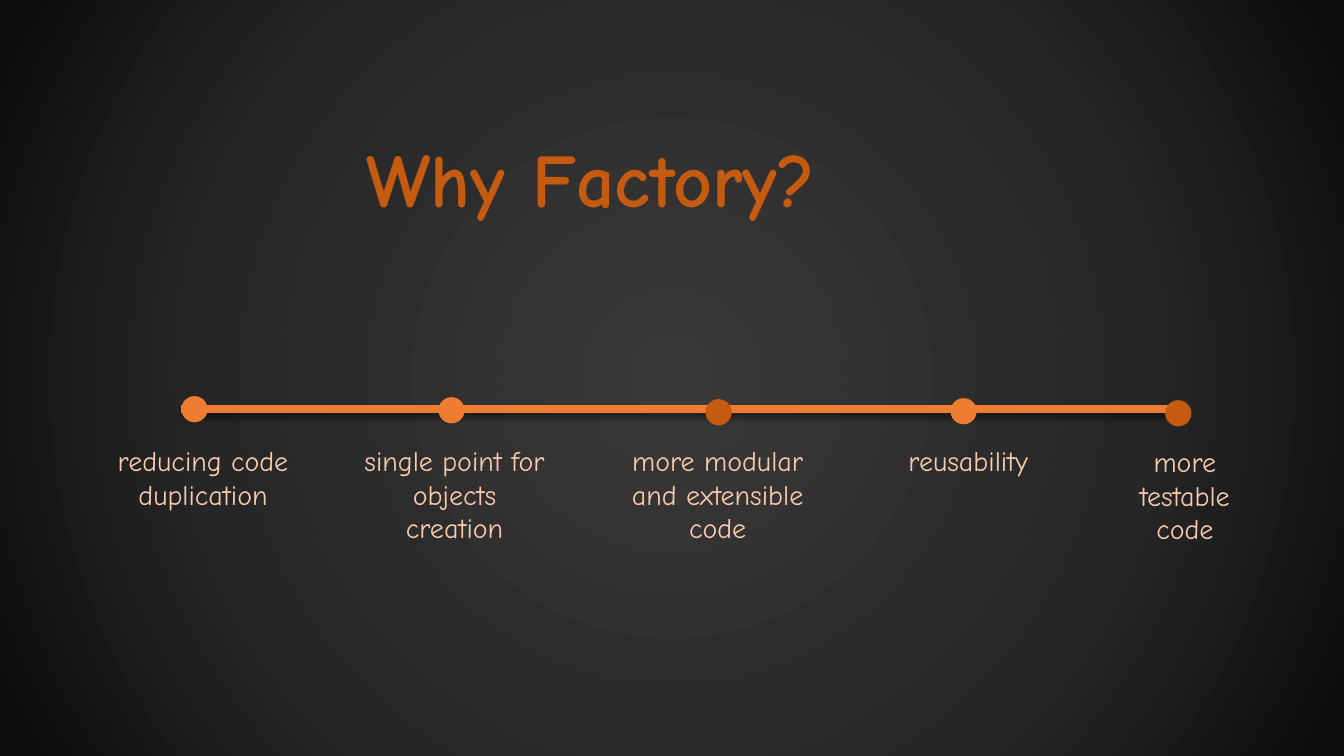
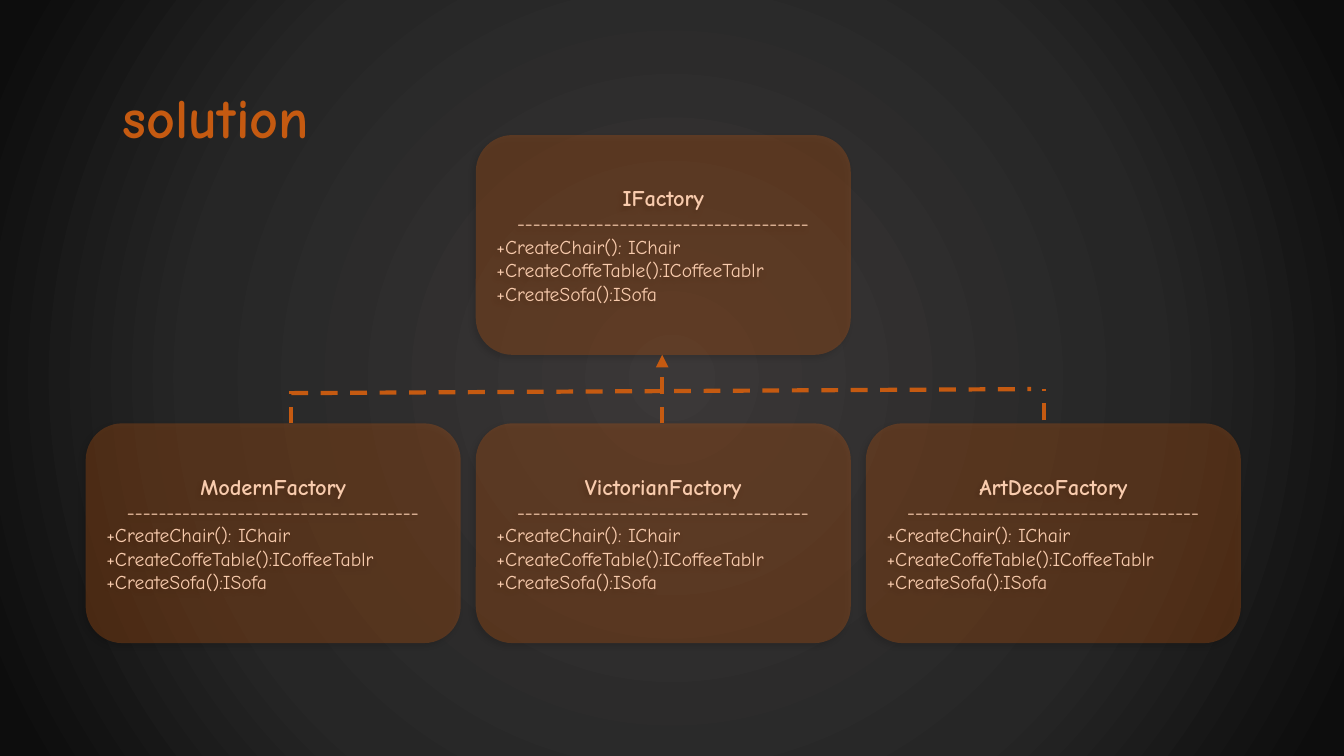
import pptx
import pptx.util
import pptx.oxml
import pptx.oxml.ns
import pptx.dml.color
import pptx.enum.dml
import pptx.enum.shapes
import pptx.enum.text

PX = 9144
FONT = "Comic Neue"
COLORS = {
    "orange": "ED7D31",
    "rust": "C55A11",
    "peach": "F8CBAD",
    "center": "3B3838",
    "middle": "262626",
    "edge": "0D0D0D",
}
NAMESPACE = pptx.oxml.ns.nsdecls("a")
EFFECTS = (
    f"<a:effectLst {NAMESPACE}>"
    '<a:outerShdw blurRad="50800" dist="38100" dir="{direction}" algn="t" rotWithShape="0">'
    '<a:srgbClr val="000000"><a:alpha val="40000"/></a:srgbClr>'
    "</a:outerShdw></a:effectLst>"
)
NO_EFFECTS = f"<a:effectLst {NAMESPACE}/>"
DOWN = EFFECTS.format(direction=5400000)
DOWN_LEFT = EFFECTS.format(direction=8100000)
CENTER = pptx.enum.text.PP_ALIGN.CENTER
LEFT = pptx.enum.text.PP_ALIGN.LEFT
MIDDLE = pptx.enum.text.MSO_ANCHOR.MIDDLE


def write(frame, text, size=14, color="peach", bold=False, align=LEFT, spacing=None, first=True, effects=None):
    paragraph = frame.paragraphs[0] if first else frame.add_paragraph()
    paragraph.alignment = align
    paragraph.line_spacing = spacing
    run = paragraph.add_run()
    run.text = text
    run.font.size = pptx.util.Pt(size)
    run.font.bold = bold
    run.font.color.rgb = pptx.dml.color.RGBColor.from_string(COLORS[color])
    run.font.name = FONT
    if effects:
        fill = run.font._element.find(pptx.oxml.ns.qn("a:solidFill"))
        fill.addnext(pptx.oxml.parse_xml(effects))


def add_line(slide, start, end, color, width, effects=NO_EFFECTS, dashed=False, arrow=False):
    connector = slide.shapes.add_connector(
        pptx.enum.shapes.MSO_CONNECTOR.STRAIGHT, *[value * PX for value in start + end]
    )
    connector.line.color.rgb = pptx.dml.color.RGBColor.from_string(COLORS[color])
    connector.line.width = pptx.util.Pt(width)
    if dashed:
        connector.line.dash_style = pptx.enum.dml.MSO_LINE.DASH
    properties = connector._element.spPr
    if arrow:
        line = properties.find(pptx.oxml.ns.qn("a:ln"))
        line.append(pptx.oxml.parse_xml(f'<a:tailEnd {NAMESPACE} type="triangle"/>'))
    properties.append(pptx.oxml.parse_xml(effects))


presentation = pptx.Presentation()
presentation.slide_width = pptx.util.Emu(12192000)
presentation.slide_height = pptx.util.Emu(6858000)

master = presentation.slide_master
master.background.fill.solid()
background = master.element.find(".//" + pptx.oxml.ns.qn("p:bgPr"))
stops = "".join(
    f'<a:gs pos="{position}000"><a:srgbClr val="{COLORS[name]}"/></a:gs>'
    for position, name in [(0, "center"), (62, "middle"), (97, "edge"), (100, "edge")]
)
gradient = pptx.oxml.parse_xml(
    f'<a:gradFill {NAMESPACE} rotWithShape="1"><a:gsLst>{stops}</a:gsLst><a:path path="circle">'
    '<a:fillToRect l="50000" t="50000" r="50000" b="50000"/></a:path></a:gradFill>'
)
background.replace(background[0], gradient)

slides = []
for text, left, top, width, size, effects in [
    ("Why Factory?", 354, 109, 562, 54, DOWN),
    ("solution", 112, 47, 1150, 40, None),
]:
    slide = presentation.slides.add_slide(presentation.slide_layouts[5])
    title = slide.shapes.title
    title.left, title.top, title.width, title.height = [value * PX for value in (left, top, width, 145)]
    title.text_frame.vertical_anchor = MIDDLE
    write(title.text_frame, text, size=size, color="rust", bold=True, spacing=0.9, effects=effects)
    slides.append(slide)
reasons_slide, solution_slide = slides

add_line(reasons_slide, (1167, 406), (180, 406), "orange", 6, effects=DOWN)
DOT = 26
for text, left, top, width, height, dot_left, dot_top, color in [
    ("reducing code duplication", 101, 435, 201, 77, 180, 393, "orange"),
    ("single point for objects creation", 349, 435, 204, 111, 435, 394, "orange"),
    ("more modular and extensible code", 596, 435, 232, 111, 700, 396, "rust"),
    ("reusability", 878, 435, 165, 44, 943, 395, "orange"),
    ("more testable code", 1093, 436, 165, 111, 1156, 397, "rust"),
]:
    label = reasons_slide.shapes.add_textbox(left * PX, top * PX, width * PX, height * PX)
    label.text_frame.word_wrap = True
    write(label.text_frame, text, size=20, align=CENTER)
    dot = reasons_slide.shapes.add_shape(
        pptx.enum.shapes.MSO_SHAPE.OVAL, dot_left * PX, dot_top * PX, DOT * PX, DOT * PX
    )
    dot.shadow.inherit = False
    dot.fill.solid()
    dot.fill.fore_color.rgb = pptx.dml.color.RGBColor.from_string(COLORS[color])
    dot.line.fill.background()

CLASS_LEFT, CLASS_PITCH, CLASS_WIDTH, CLASS_HEIGHT = 85, 387, 372, 218
INTERFACE_TOP, FACTORY_TOP = 134, 420
METHODS = ["+CreateChair(): IChair", "+CreateCoffeTable():ICoffeeTablr", "+CreateSofa():ISofa"]
for name, column, top in [
    ("IFactory", 1, INTERFACE_TOP),
    ("ModernFactory", 0, FACTORY_TOP),
    ("VictorianFactory", 1, FACTORY_TOP),
    ("ArtDecoFactory", 2, FACTORY_TOP),
]:
    box = solution_slide.shapes.add_shape(
        pptx.enum.shapes.MSO_SHAPE.ROUNDED_RECTANGLE,
        (CLASS_LEFT + column * CLASS_PITCH) * PX, top * PX, CLASS_WIDTH * PX, CLASS_HEIGHT * PX,
    )
    box.fill.solid()
    box.fill.fore_color.rgb = pptx.dml.color.RGBColor.from_string(COLORS["rust"])
    box.line.fill.background()
    properties = box._element.spPr
    fill_color = properties.find(".//" + pptx.oxml.ns.qn("a:srgbClr"))
    fill_color.append(pptx.oxml.parse_xml(f'<a:alpha {NAMESPACE} val="30000"/>'))
    properties.append(pptx.oxml.parse_xml(DOWN_LEFT))
    frame = box.text_frame
    frame.word_wrap = True
    frame.vertical_anchor = MIDDLE
    write(frame, name, size=16, bold=True, align=CENTER)
    write(frame, "-" * 37, align=CENTER, first=False)
    for method in METHODS:
        write(frame, method, first=False)

for start, end, arrow in [
    ((657, 420), (657, 352), True),
    ((1036, 417), (1036, 386), False),
    ((289, 390), (1023, 386), False),
    ((289, 420), (289, 388), False),
]:
    add_line(solution_slide, start, end, "rust", 3, dashed=True, arrow=arrow)

presentation.save("out.pptx")
